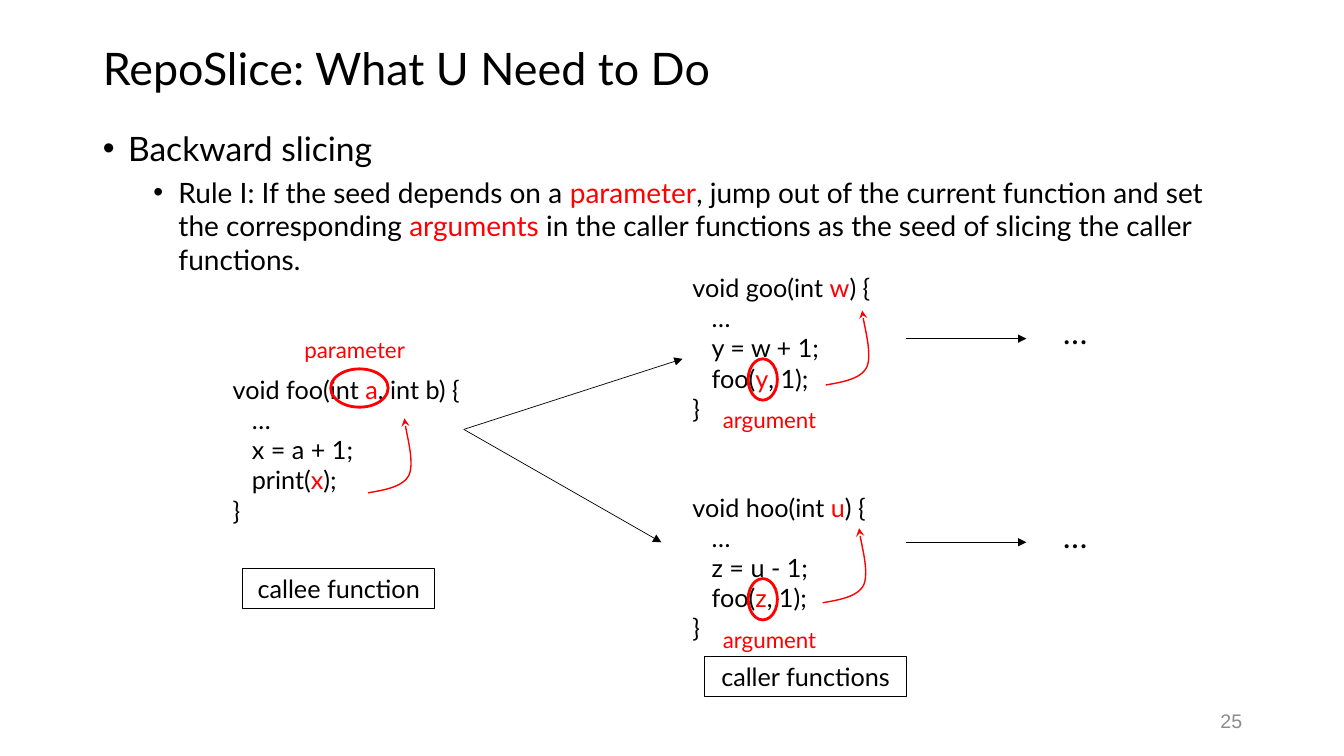
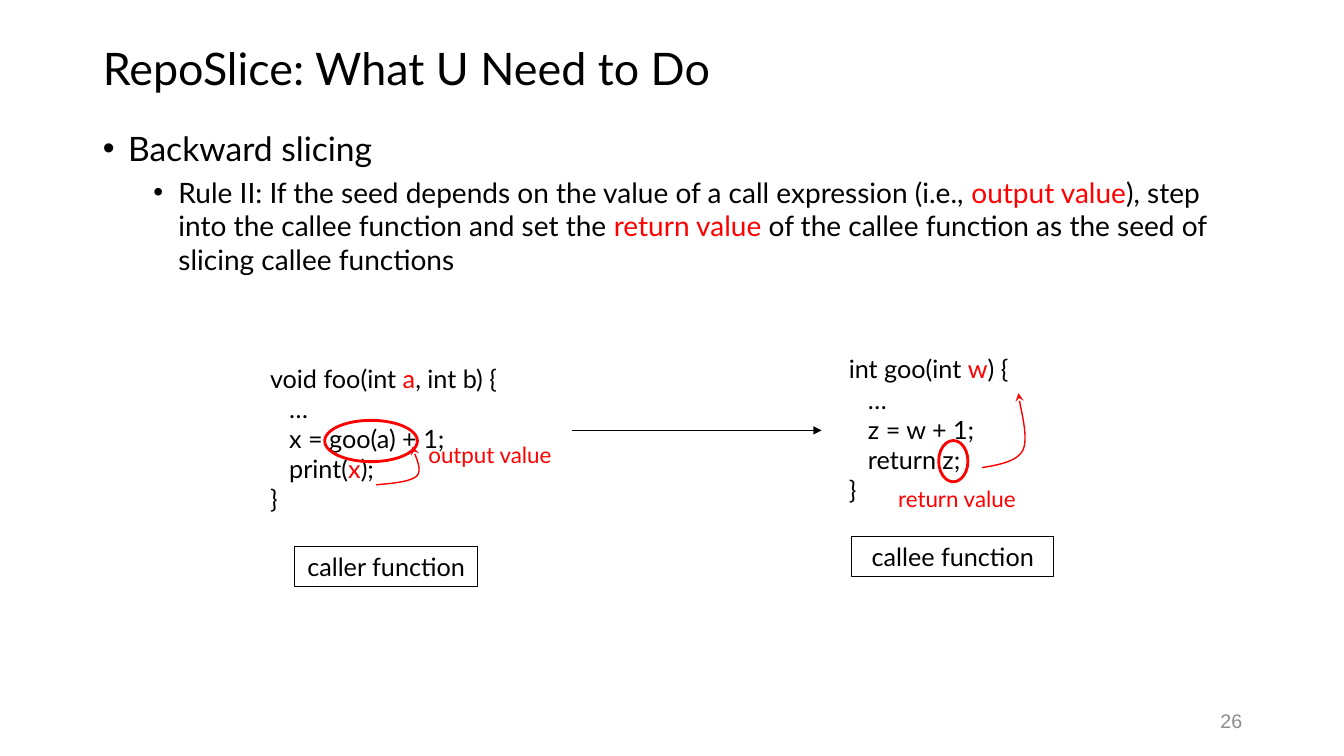
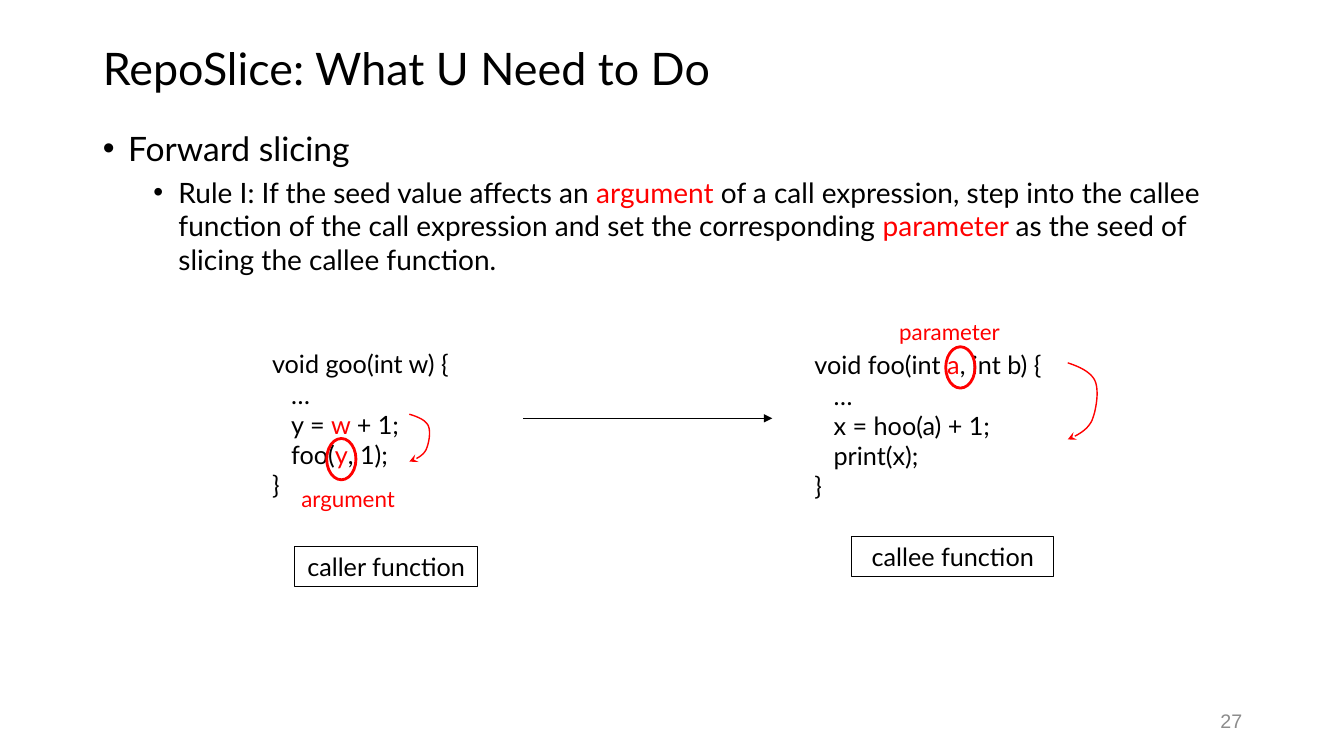
from dataclasses import dataclass

from lxml.etree import SubElement
from pptx import Presentation
from pptx.dml.color import RGBColor as RGB
from pptx.enum.shapes import MSO_CONNECTOR as LINK, MSO_SHAPE as SHAPE
from pptx.enum.text import MSO_ANCHOR as ANCHOR, MSO_AUTO_SIZE as FIT, PP_ALIGN as ALIGN
from pptx.oxml.ns import qn
from pptx.util import Inches, Pt


@dataclass(frozen=True)
class Theme:
    black: RGB = RGB(0, 0, 0)
    red: RGB = RGB(255, 0, 0)
    gray: RGB = RGB(0x8C, 0x8C, 0x8C)
    font: str = "Lato"
    dots: str = "Calibri"
    plain: str = "Arial"
    title: int = 32
    head: int = 24
    rule: int = 20
    code: int = 18
    note: int = 16
    page: int = 14
    thin: float = 0.5
    frame: float = 0.75
    curve: float = 1
    ring: float = 2


T = Theme()
TITLE = "RepoSlice: What U Need to Do"
FIRST = 25
INDENT = 0.19

# Bezier points of the curved arrows, as shares of their box
UP = [(0, 1), (0.4, 0.96), (0.83, 0.92), (0.97, 0.76),
      (1.12, 0.57), (0.86, 0.12), (0.86, 0)]
DOWN = [(0, 0), (0.4, 0.05), (0.8, 0.12), (0.94, 0.24),
        (1.08, 0.37), (0.97, 0.63), (0.82, 0.76),
        (0.66, 0.88), (0.32, 0.95), (0, 1)]


# Text
def write(par, text, size, color=T.black, font=T.font):
    """Add runs; parts between bars are red."""
    for i, part in enumerate(text.split("|")):
        if part:
            run = par.add_run()
            run.text = part
            run.font.size = Pt(size)
            run.font.name = font
            run.font.color.rgb = T.red if i % 2 else color


def place(shape, *box):
    shape.left, shape.top, shape.width, shape.height = map(Inches, box)


def add_box(slide, x, y, w, h):
    frame = slide.shapes.add_textbox(*map(Inches, (x, y, w, h))).text_frame
    frame.word_wrap = True
    return frame


def add_text(slide, x, y, w, h, text, size, color=T.black, font=T.font):
    frame = add_box(slide, x, y, w, h)
    write(frame.paragraphs[0], text, size, color, font)
    return frame


def add_note(slide, x, y, text, w=1.29):
    add_text(slide, x, y, w, 0.37, text, T.note, T.red)


def add_code(slide, x, y, head, *body):
    frame = add_box(slide, x, y, 2.93, 1.62)
    lines = [head, "…", *body, "}"]
    for i, line in enumerate(lines):
        par = frame.paragraphs[0] if i == 0 else frame.add_paragraph()
        if 0 < i < len(lines) - 1:
            par._p.get_or_add_pPr().set("marL", str(Inches(INDENT)))
        write(par, line, T.code)


def add_item(par, text, size, level, left, gap):
    par.level = level
    par.line_spacing = 1.0
    par.space_before = Pt(gap)
    props = par._p.get_or_add_pPr()
    props.set("marL", str(Inches(left)))
    props.set("indent", str(Inches(-0.25)))
    SubElement(props, qn("a:buFont")).set("typeface", T.plain)
    SubElement(props, qn("a:buChar")).set("char", "•")
    write(par, text, size)


# Shapes and lines
def outline(shape, color, width):
    shape.fill.background()
    shape.line.color.rgb = color
    shape.line.width = Pt(width)
    shape.shadow.inherit = False


def add_tip(shape, kind):
    line = shape.element.spPr.find(qn("a:ln"))
    SubElement(line, qn("a:tailEnd")).set("type", kind)


def add_label(slide, x, y, w, text):
    rect = slide.shapes.add_shape(SHAPE.RECTANGLE, *map(Inches, (x, y, w, 0.4)))
    outline(rect, T.black, T.frame)
    par = rect.text_frame.paragraphs[0]
    par.alignment = ALIGN.CENTER
    write(par, text, T.code)


def add_ring(slide, x, y, w=0.29, h=0.41):
    ring = slide.shapes.add_shape(SHAPE.OVAL, *map(Inches, (x, y, w, h)))
    outline(ring, T.red, T.ring)


def add_arrow(slide, x1, y1, x2, y2):
    arrow = slide.shapes.add_connector(
        LINK.STRAIGHT, *map(Inches, (x1, y1, x2, y2)))
    arrow.line.color.rgb = T.black
    arrow.line.width = Pt(T.thin)
    add_tip(arrow, "triangle")
    SubElement(arrow.element.spPr, qn("a:effectLst"))


def trace(nodes, steps=16):
    """Points along a chain of cubic curves."""
    points = [nodes[0]]
    for i in range(0, len(nodes) - 1, 3):
        for k in range(1, steps + 1):
            t = k / steps
            parts = ((1 - t) ** 3, 3 * t * (1 - t) ** 2, 3 * t * t * (1 - t), t ** 3)
            points.append(tuple(sum(p * n[axis] for p, n in zip(parts, nodes[i:i + 4]))
                                for axis in (0, 1)))
    return points


def add_curve(slide, nodes, x, y, w=0.42, h=0.74):
    points = [(Inches(x + w * u), Inches(y + h * v)) for u, v in trace(nodes)]
    form = slide.shapes.build_freeform(*points[0])
    form.add_line_segments(points[1:], close=False)
    curve = form.convert_to_shape()
    outline(curve, T.red, T.curve)
    add_tip(curve, "stealth")


# Shared slide parts
def add_slide(deck, page, topic, rule, depth=5.53):
    slide = deck.slides.add_slide(deck.slide_layouts[1])
    title, body = slide.placeholders
    place(title, 0.92, 0.4, 11.5, 0.61)
    title.text_frame.vertical_anchor = ANCHOR.MIDDLE
    title.text_frame.auto_size = FIT.NONE
    par = title.text_frame.paragraphs[0]
    par.alignment = ALIGN.LEFT
    par.line_spacing = 0.9
    write(par, TITLE, T.title)

    place(body, 0.92, 1.22, 11.5, depth)
    frame = body.text_frame
    frame.auto_size = FIT.NONE
    add_item(frame.paragraphs[0], topic, T.head, 0, 0.25, 10)
    add_item(frame.add_paragraph(), rule, T.rule, 1, 0.75, 5)

    frame = add_text(slide, 9.42, 6.95, 3, 0.4, str(page), T.page, T.gray, T.plain)
    frame.vertical_anchor = ANCHOR.MIDDLE
    frame.paragraphs[0].alignment = ALIGN.RIGHT
    return slide


def add_roles(slide):
    add_label(slide, 2.92, 5.42, 1.82, "caller function")
    add_label(slide, 8.45, 5.32, 2, "callee function")


# Slides
def back_out(deck, page):
    slide = add_slide(
        deck, page, "Backward slicing",
        "Rule I: If the seed depends on a |parameter|, jump out of the current "
        "function and set the corresponding |arguments |in the caller functions "
        "as the seed of slicing the caller functions.", 1.62)
    # Callee
    add_code(slide, 2.21, 3.66, "void foo(int |a|, int b) {", "x = a + 1;", "print(|x|);")
    add_curve(slide, UP, 3.65, 4.15)
    add_ring(slide, 3.28, 3.66, 0.57, 0.38)
    add_note(slide, 2.92, 3.29, "parameter")
    add_label(slide, 2.41, 5.64, 1.9, "callee function")
    # Callers
    callers = [
        (2.65, "void goo(int |w|) {", "y = w + 1;", "foo(|y|, 1);", 8.19, 3.08, 6.77, 3.56, 3.36),
        (4.83, "void hoo(int |u|) {", "z = u - 1;", "foo(|z|, 1);", 8.16, 5.24, 6.56, 5.38, 5.38),
    ]
    for top, head, step, call, cx, cy, tx, ty, mid in callers:
        add_code(slide, 6.77, top, head, step, call)
        add_arrow(slide, 4.6, 4.26, tx, ty)
        add_curve(slide, UP, cx, cy)
        add_arrow(slide, 8.99, mid, 10.18, mid)
        add_text(slide, 10.45, mid - 0.32, 1.07, 0.5, "…", T.head, font=T.dots)
        add_ring(slide, 7.42, top + 0.91)
        add_note(slide, 7.07, top + 1.33, "argument")
    add_label(slide, 6.99, 6.51, 2, "caller functions")


def back_in(deck, page):
    slide = add_slide(
        deck, page, "Backward slicing",
        "Rule II: If the seed depends on the value of a call expression (i.e., "
        "|output value|), step into the callee function and set the |return value "
        "|of the callee function as the seed of slicing callee functions")
    # Caller
    add_code(slide, 2.58, 3.55, "void foo(int |a|, int b) {", "x = goo(a) + 1;", "print(|x|);")
    add_curve(slide, UP, 3.73, 4.43, h=0.38)
    add_ring(slide, 3.22, 4.17, 0.92)
    add_note(slide, 4.15, 4.33, "output value", 1.52)
    add_arrow(slide, 5.67, 4.27, 8.15, 4.27)
    # Callee
    add_code(slide, 8.32, 3.46, "int goo(int |w|) {", "z = w + 1;", "return z;")
    add_curve(slide, UP, 9.74, 3.9)
    add_ring(slide, 9.31, 4.37)
    add_note(slide, 8.81, 4.76, "return value", 1.66)
    add_roles(slide)


def fore_in(deck, page):
    slide = add_slide(
        deck, page, "Forward slicing",
        "Rule I: If the seed value affects an |argument |of a call expression, "
        "step into the callee function of the call expression and set the "
        "corresponding |parameter |as the seed of slicing the callee function.")
    # Caller
    add_code(slide, 2.6, 3.41, "void goo(int w) {", "y = |w |+ 1;", "foo(|y|, 1);")
    add_curve(slide, DOWN, 4.06, 4.11, 0.2, 0.47)
    add_ring(slide, 3.24, 4.35)
    add_note(slide, 2.89, 4.76, "argument")
    add_arrow(slide, 5.19, 4.15, 7.66, 4.15)
    # Callee
    add_code(slide, 7.98, 3.42, "void foo(int |a|, int b) {", "x = hoo(a) + 1;", "print(x);")
    add_curve(slide, DOWN, 10.59, 3.6, 0.29, 0.76)
    add_ring(slide, 9.38, 3.44)
    add_note(slide, 8.82, 3.11, "parameter")
    add_roles(slide)


def main():
    deck = Presentation()
    deck.slide_width, deck.slide_height = Inches(13.33), Inches(7.5)
    for page, build in enumerate((back_out, back_in, fore_in), FIRST):
        build(deck, page)
    deck.save("out.pptx")


if __name__ == "__main__":
    main()
